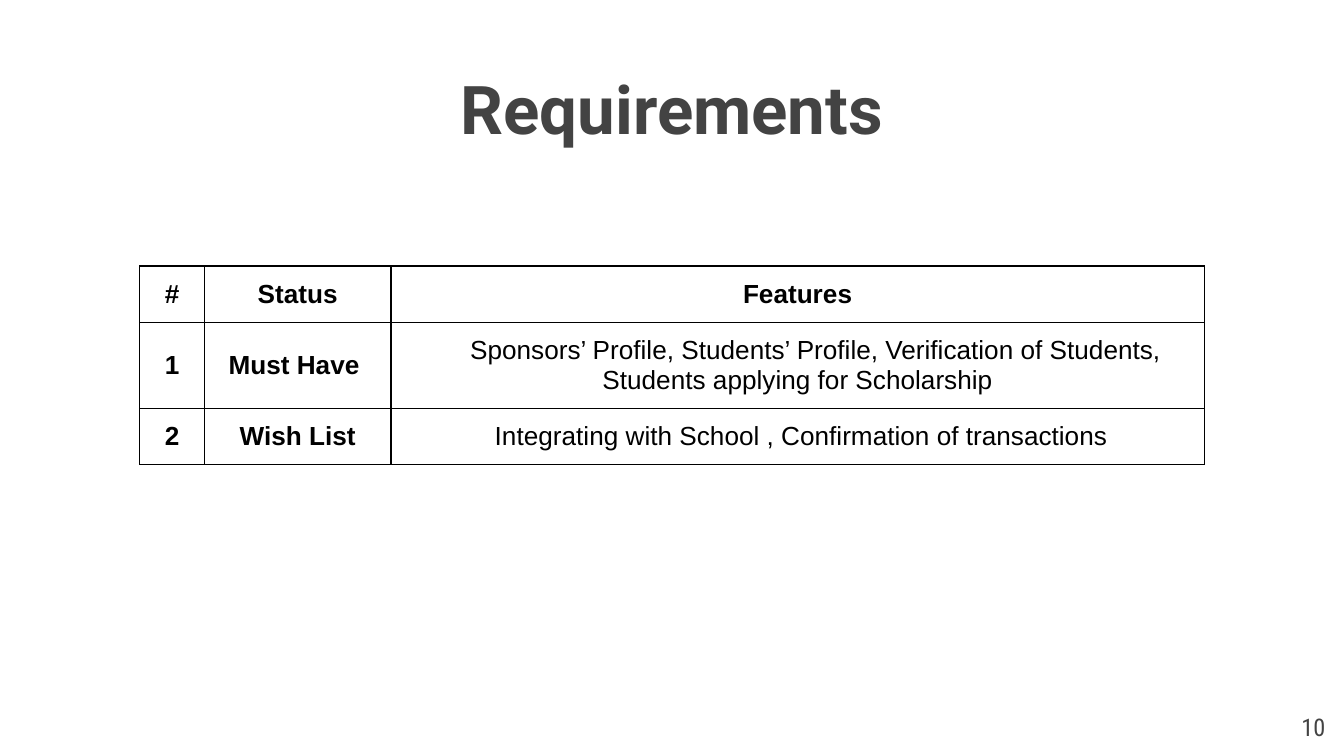
from lxml import etree
from pptx import Presentation
from pptx.dml.color import RGBColor
from pptx.enum.text import MSO_ANCHOR, MSO_AUTO_SIZE, PP_ALIGN
from pptx.oxml.ns import qn
from pptx.util import Inches, Pt

CENTER, RIGHT = PP_ALIGN.CENTER, PP_ALIGN.RIGHT
TOP, MIDDLE = MSO_ANCHOR.TOP, MSO_ANCHOR.MIDDLE
NO_AUTOFIT = MSO_AUTO_SIZE.NONE
BLACK, GRAY = "000000", "434343"


def write(para, text, font, size, color, bold=False, align=CENTER):
    para.alignment = align
    span = para.add_run()
    span.text = text
    span.font.name = font
    span.font.size = Pt(size)
    span.font.bold = bold
    span.font.color.rgb = RGBColor.from_string(color)


def add_borders(cell, color, width):
    properties = cell._tc.get_or_add_tcPr()
    for position, side in enumerate(("a:lnL", "a:lnR", "a:lnT", "a:lnB")):
        line = etree.Element(qn(side), w=str(Pt(width)))
        fill = etree.SubElement(line, qn("a:solidFill"))
        etree.SubElement(fill, qn("a:srgbClr"), val=color)
        properties.insert(position, line)


deck = Presentation()
deck.slide_width = Inches(10)
deck.slide_height = deck.slide_width * 9 // 16
page = deck.slides.add_slide(deck.slide_layouts[0])
subtitle = page.placeholders[1].element
subtitle.getparent().remove(subtitle)

# Title and page number
title = page.shapes.title
title.left, title.top = Inches(2.15), Inches(0.4)
title.width, title.height = Inches(5.7), Inches(1.03)
number = page.shapes.add_textbox(Inches(9.36), Inches(5.19), Inches(0.6), Inches(0.43))
for box, anchor in ((title, TOP), (number, MIDDLE)):
    frame = box.text_frame
    frame.word_wrap = True
    frame.auto_size = NO_AUTOFIT
    frame.vertical_anchor = anchor
    frame.margin_left = frame.margin_right = Inches(0.1)
    frame.margin_top = frame.margin_bottom = Inches(0.1)
write(title.text_frame.paragraphs[0], "Requirements", "Roboto", 36, GRAY, bold=True)
write(number.text_frame.paragraphs[0], "10", "Roboto Condensed", 13, GRAY, align=RIGHT)

# Requirements table
rows = [
    ("#", "Status", "Features"),
    ("1", "Must Have ", "Sponsors’ Profile, Students’ Profile, Verification of Students, "
                        "Students applying for Scholarship"),
    ("2", "Wish List", "Integrating with School , Confirmation of transactions "),
]
column_widths = (0.48, 1.39, 6.05)
row_heights = (0.42, 0.63, 0.42)
feature_indents = {1: 0.27, 2: 0.11}

table = page.shapes.add_table(
    len(rows), len(column_widths), Inches(1.04), Inches(1.98),
    Inches(sum(column_widths)), Inches(sum(row_heights))).table
table.first_row = table.horz_banding = False
for column, width in zip(table.columns, column_widths):
    column.width = Inches(width)
for r, (texts, height) in enumerate(zip(rows, row_heights)):
    table.rows[r].height = Inches(height)
    for c, text in enumerate(texts):
        cell = table.cell(r, c)
        cell.fill.background()
        cell.vertical_anchor = MIDDLE
        cell.margin_left = cell.margin_right = Inches(0.1)
        cell.margin_top = cell.margin_bottom = Inches(0.1)
        add_borders(cell, BLACK, 0.75)
        is_feature = r > 0 and c == 2
        para = cell.text_frame.paragraphs[0]
        write(para, text, "Arial", 14, BLACK, bold=not is_feature)
        if is_feature:
            para._p.get_or_add_pPr().set("indent", str(Inches(feature_indents[r])))

deck.save("out.pptx")
